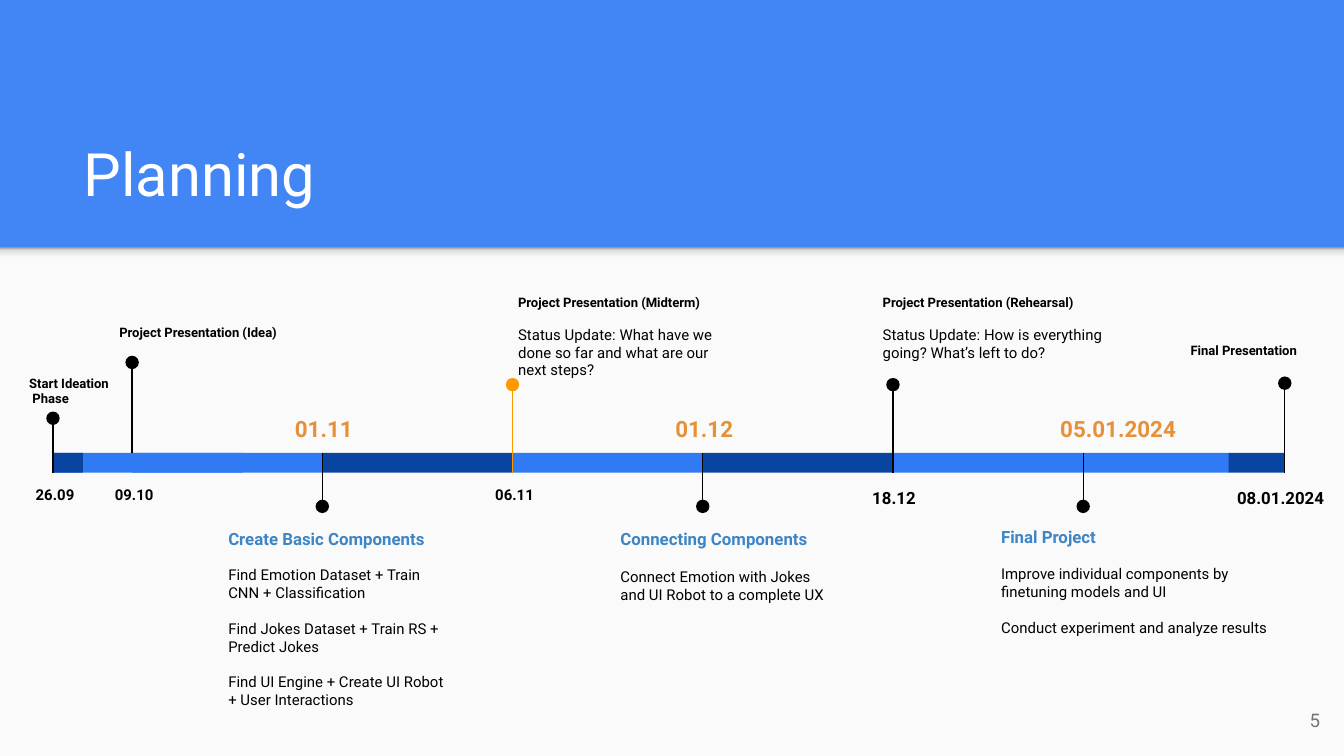
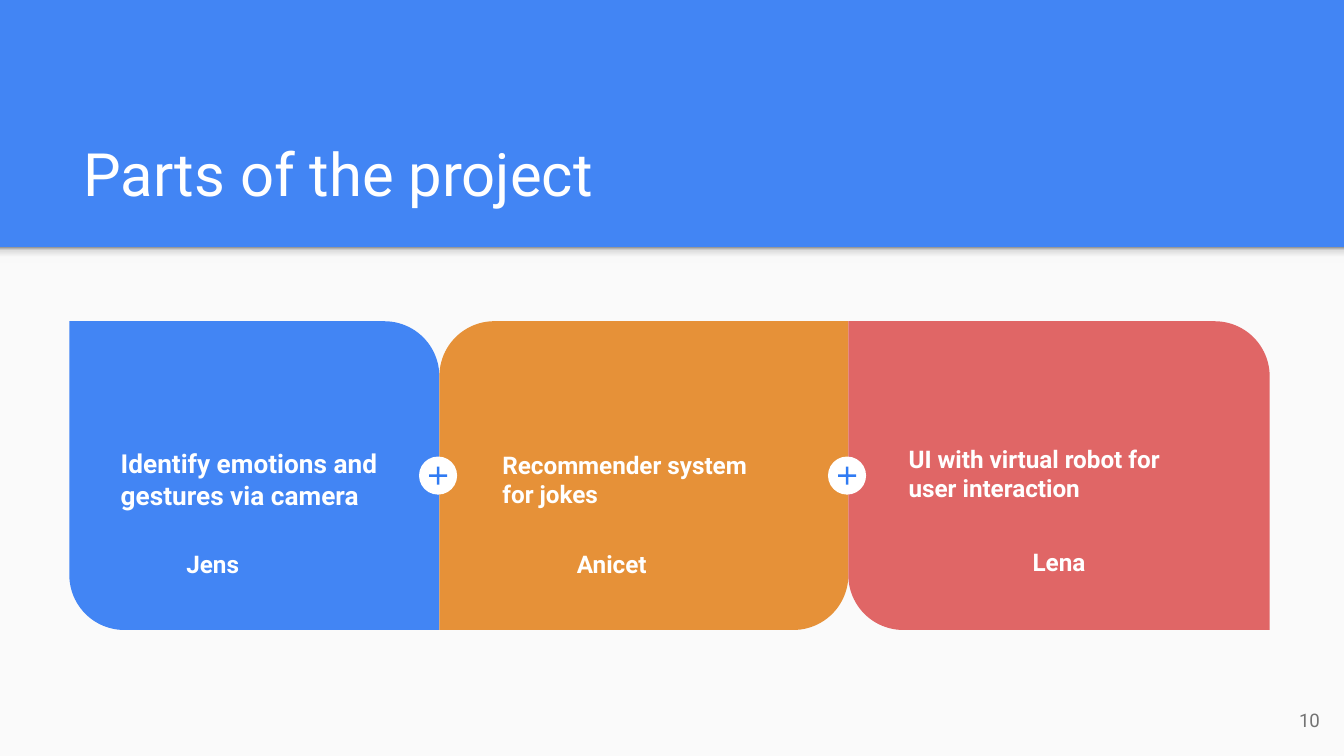
from lxml.etree import SubElement
from pptx import Presentation
from pptx.dml.color import RGBColor
from pptx.enum.shapes import MSO_CONNECTOR, MSO_SHAPE
from pptx.enum.text import MSO_ANCHOR, PP_ALIGN
from pptx.oxml.ns import qn
from pptx.util import Pt

BLUE, BRIGHT, NAVY = "4285F4", "307BF3", "0944A1"
AMBER, ORANGE, RED = "E69138", "FF9900", "E06666"
HEADING, BLACK, WHITE, GREY, PAPER = "3D85C6", "000000", "FFFFFF", "737373", "FAFAFA"
BAND_SHADE = [(0, "F9F9F9"), (36, "F9F9F9"), (80, "DEDEDE"), (100, "999999")]

WIDTH, HEIGHT, BAND_BOTTOM = 720, 405, 132.5
INSET = 7.2


def rgb(value):
    return RGBColor.from_string(value)


def para(text, size, bold=False, color=BLACK, before=0, after=0, spacing=1.0,
         align=PP_ALIGN.LEFT):
    """Describe one paragraph: text, font values, colour, paragraph values."""
    font = {"name": "Roboto", "size": Pt(size), "bold": bold}
    layout = {"space_before": Pt(before), "space_after": Pt(after),
              "line_spacing": spacing, "alignment": align}
    return text, font, color, layout


class Deck:
    """Holds the shared style and the slide being drawn."""

    def __init__(self):
        self.prs = Presentation()
        self.prs.slide_width, self.prs.slide_height = Pt(WIDTH), Pt(HEIGHT)
        self.slide = None

    def start_slide(self, title, number):
        self.slide = self.prs.slides.add_slide(self.prs.slide_layouts[6])
        background = self.slide.background.fill
        background.solid()
        background.fore_color.rgb = rgb(BLUE)
        self.shape(MSO_SHAPE.RECTANGLE, 0, BAND_BOTTOM, WIDTH, HEIGHT - BAND_BOTTOM, PAPER)
        self.band_shadow()
        self.text(37.6, 58.1, 647.3, 60.7, [para(title, 32, color=WHITE)],
                  anchor=MSO_ANCHOR.BOTTOM)
        self.text(671, 370, 43.2, 31, [para(number, 10, color=GREY, align=PP_ALIGN.RIGHT)],
                  anchor=MSO_ANCHOR.MIDDLE)

    def band_shadow(self):
        strip = self.shape(MSO_SHAPE.RECTANGLE, 0, BAND_BOTTOM, WIDTH, 8.6, PAPER)
        strip.fill.gradient()
        strip.fill.gradient_angle = 90
        stops = strip.element.spPr.find(".//" + qn("a:gsLst"))
        for stop in list(stops):
            stops.remove(stop)
        for percent, color in BAND_SHADE:
            stop = SubElement(stops, qn("a:gs"), pos=str(percent * 1000))
            SubElement(stop, qn("a:srgbClr"), val=color)

    def shape(self, kind, left, top, width, height, color, adjustments=()):
        shape = self.slide.shapes.add_shape(kind, Pt(left), Pt(top), Pt(width), Pt(height))
        shape.shadow.inherit = False
        shape.fill.solid()
        shape.fill.fore_color.rgb = rgb(color)
        shape.line.fill.background()
        for index, value in enumerate(adjustments):
            shape.adjustments[index] = value
        return shape

    def line(self, x, y_from, y_to, color):
        line = self.slide.shapes.add_connector(
            MSO_CONNECTOR.STRAIGHT, Pt(x), Pt(y_from), Pt(x), Pt(y_to))
        line.line.color.rgb = rgb(color)
        line.line.width = Pt(0.75)
        SubElement(line.element.spPr, qn("a:effectLst"))

    def text(self, left, top, width, height, paragraphs, anchor=MSO_ANCHOR.TOP,
             right_inset=INSET):
        box = self.slide.shapes.add_textbox(Pt(left), Pt(top), Pt(width), Pt(height))
        frame = box.text_frame
        settings = {"word_wrap": True, "vertical_anchor": anchor,
                    "margin_left": Pt(INSET), "margin_right": Pt(right_inset),
                    "margin_top": Pt(INSET), "margin_bottom": Pt(INSET)}
        for name, value in settings.items():
            setattr(frame, name, value)
        for index, (words, font, color, layout) in enumerate(paragraphs):
            line = frame.add_paragraph() if index else frame.paragraphs[0]
            run = line.add_run()
            run.text = words
            run.font.color.rgb = rgb(color)
            for target, values in ((run.font, font), (line, layout)):
                for name, value in values.items():
                    setattr(target, name, value)

    def pin(self, x, dot_top, stem_start, stem_end, color=BLACK):
        self.line(x, stem_start, stem_end, color)
        self.shape(MSO_SHAPE.OVAL, x - 3.6, dot_top, 7.2, 7.2, color)

    def date(self, center, top, width, text, size, color=BLACK):
        self.text(center - width / 2, top, width, 29.5,
                  [para(text, size, True, color, after=16, spacing=1.15,
                        align=PP_ALIGN.CENTER)])

    def plus(self, center, middle):
        for kind, size, color, adjustments in (
                (MSO_SHAPE.OVAL, 20.4, WHITE, ()),
                (MSO_SHAPE.MATH_PLUS, 13, BRIGHT, (0.099,))):
            self.shape(kind, center - size / 2, middle - size / 2, size, size,
                       color, adjustments)


def planning(deck):
    deck.start_slide("Planning", "5")

    # Timeline bar: the milestones stand at equal steps
    bar_top, bar_height, step = 242.6, 10.6, 101.9
    bar_bottom = bar_top + bar_height
    start, end = 28.4, 688.3
    idea, basics, midterm, connecting, rehearsal, project = (
        70.8 + step * i for i in range(6))
    for left, width, color in (
            (start, step, BRIGHT), (idea, step, BRIGHT), (basics, step, NAVY),
            (midterm, step, BRIGHT), (connecting, step, NAVY),
            (rehearsal, 180, BRIGHT), (658.2, end - 658.2, NAVY), (start, 16, NAVY)):
        deck.shape(MSO_SHAPE.RECTANGLE, left, bar_top, width, bar_height, color)

    # Presentations above the bar
    for x, dot_top, stem_end, color in (
            (start, 220.5, bar_bottom, BLACK), (idea, 190.6, bar_top, BLACK),
            (midterm, 202.5, bar_bottom, ORANGE), (rehearsal, 202.5, bar_bottom, BLACK),
            (end, 201.7, bar_bottom, BLACK)):
        deck.pin(x, dot_top, dot_top + 6.5, stem_end, color)
    for center, width, day, size in (
            (start + 1.1, 54.7, "26.09", 8), (idea + 1.1, 54.7, "09.10", 8),
            (midterm + 1.1, 54.7, "06.11", 8), (rehearsal + 0.5, 59, "18.12", 9),
            (end - 2.3, 64.8, "08.01.2024", 9)):
        deck.date(center, bar_bottom, width, day, size)
    for left, top, width, height, names, status in (
            (8.6, 193.7, 132.5, 28, ["Start Ideation", " Phase"], None),
            (56.9, 169.7, 132.5, 22.3, ["Project Presentation (Idea)"], None),
            (270.5, 150.5, 132.5, 60.5, ["Project Presentation (Midterm)"],
             "Status Update: What have we done so far and what are our next steps?"),
            (465.8, 150.5, 132.5, 48.2, ["Project Presentation (Rehearsal)"],
             "Status Update: How is everything going? What’s left to do?"),
            (630.7, 179.3, 73.4, 24.5, ["Final Presentation"], None)):
        label = [para(name, 7, True) for name in names]
        if status:
            label.append(para(status, 8, before=8.2, after=16))
        deck.text(left, top, width, height, label)

    # Work phases below the bar
    for x, date_center, date_width, day, left, top, width, height, gap, name, tasks in (
            (basics, basics + 0.8, 59, "01.11", 115.2, 275.8, 133.2, 99.4, 9.4,
             "Create Basic Components",
             ["Find Emotion Dataset + Train CNN + Classification",
              "Find Jokes Dataset + Train RS + Predict Jokes",
              "Find UI Engine + Create UI Robot + User Interactions"]),
            (connecting, connecting + 0.8, 59, "01.12", 325.3, 275.8, 126.7, 74.2, 10.5,
             "Connecting Components",
             ["Connect Emotion with Jokes and UI Robot to a complete UX"]),
            (project, project + 18.7, 95, "05.01.2024", 529.2, 274.9, 159.1, 74.9, 9.6,
             "Final Project",
             ["Improve individual components by finetuning models and UI",
              "Conduct experiment and analyze results"])):
        deck.pin(x, 267.7, 270.7, bar_top)
        deck.date(date_center, 213.1, date_width, day, 12, AMBER)
        deck.text(left, top, width, height,
                  [para(name, 9, True, HEADING)]
                  + [para(task, 8, before=gap) for task in tasks])


def project_parts(deck):
    deck.start_slide("Parts of the project", "10")

    # Cards side by side, rounded on alternating diagonals
    card_top, card_height, rounding = 172.1, 165.4, 0.178
    left = 37.2
    joints = []
    for width, color, corners, task, size, task_left, task_top, task_width, owner, \
            owner_top, owner_inset in (
            (198.2, BLUE, (0, rounding), "Identify emotions and gestures via camera",
             14, 57.6, 232.6, 157.7, "Jens", 286.8, 51.8),
            (219.1, AMBER, (rounding, 0), "Recommender system for jokes",
             13, 262.1, 233.8, 163.4, "Anicet", 286.8, 41.5),
            (225.7, RED, (0, rounding), "UI with virtual robot for user interaction",
             13, 479.7, 230.7, 168.5, "Lena", 286.2, INSET)):
        deck.shape(MSO_SHAPE.ROUND_2_DIAG_RECTANGLE, left, card_top, width, card_height,
                   color, corners)
        deck.text(task_left, task_top, task_width, 48, [para(task, size, True, WHITE)])
        deck.text(left, owner_top, width, 19.4,
                  [para(owner, 13, True, WHITE, align=PP_ALIGN.CENTER)],
                  right_inset=owner_inset)
        left += width
        joints.append(left)

    # Plus signs on the joints between cards
    for joint in joints[:-1]:
        deck.plus(joint - 0.7, card_top + card_height / 2)


def main():
    deck = Deck()
    planning(deck)
    project_parts(deck)
    deck.prs.save("out.pptx")


if __name__ == "__main__":
    main()
